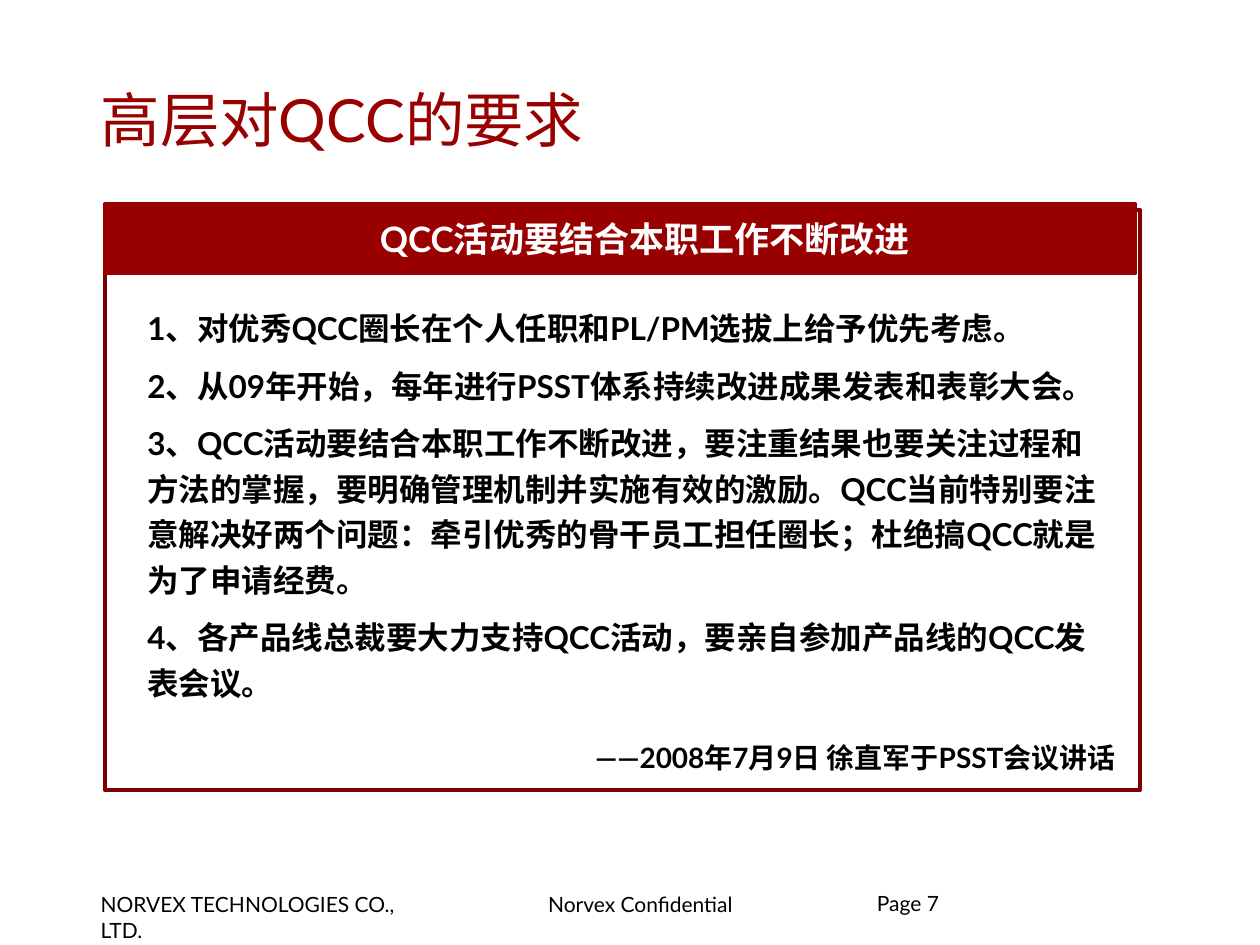
import lxml.etree
import pptx
import pptx.util
import pptx.dml.color
import pptx.enum.shapes
import pptx.enum.text
import pptx.oxml.ns

Cm = pptx.util.Cm
Pt = pptx.util.Pt
RGBColor = pptx.dml.color.RGBColor
SHAPE = pptx.enum.shapes.MSO_SHAPE
ALIGN = pptx.enum.text.PP_ALIGN
ANCHOR = pptx.enum.text.MSO_ANCHOR
qn = pptx.oxml.ns.qn

RED = RGBColor(0x99, 0x00, 0x00)
DARK_RED = RGBColor(0x80, 0x00, 0x00)
BLACK = RGBColor(0x00, 0x00, 0x00)
WHITE = RGBColor(0xFF, 0xFF, 0xFF)


def add_text(s, box, lines, size, color=BLACK, bold=False, align=ALIGN.LEFT,
             anchor=ANCHOR.TOP, insets=(0.23, 0.1), spacing=None, gap=0):
    tf = s.shapes.add_textbox(*[Cm(v) for v in box]).text_frame
    tf.word_wrap = True
    tf.vertical_anchor = anchor
    tf.margin_left = tf.margin_right = Cm(insets[0])
    tf.margin_top = tf.margin_bottom = Cm(insets[1])
    for i, line in enumerate(lines):
        p = tf.add_paragraph() if i else tf.paragraphs[0]
        p.alignment = align
        if spacing:
            p.line_spacing = spacing
        if gap:
            p.space_after = Pt(gap)
            if i:
                p.space_before = Pt(gap)
        r = p.add_run()
        r.text = line
        r.font.name = "Lato"
        r.font.size = Pt(size)
        r.font.bold = bold
        r.font.color.rgb = color


def add_panel(s, kind, box, line, fill=None):
    sp = s.shapes.add_shape(kind, *[Cm(v) for v in box])
    guides = next(sp._element.iter(qn("a:avLst")))
    for guide in list(guides):
        guides.remove(guide)
    lxml.etree.SubElement(guides, qn("a:gd"), name="adj", fmla="val 0")
    sp.shadow.inherit = False
    sp.line.color.rgb = line
    sp.line.width = Pt(2.25)
    if fill is None:
        sp.fill.background()
    else:
        sp.fill.solid()
        sp.fill.fore_color.rgb = fill


prs = pptx.Presentation()
prs.slide_width = Cm(25.4)
prs.slide_height = Cm(19.05)
s = prs.slides.add_slide(prs.slide_layouts[6])

add_text(s, (1.8, 17.88, 7.26, 0.74), ["NORVEX TECHNOLOGIES CO., LTD."], 12)
add_text(s, (10.82, 17.88, 4.52, 0.74), ["Norvex Confidential"], 12)
add_text(s, (17.68, 18.03, 5.82, 1.27), ["Page 7"], 12, insets=(0, 0), spacing=0.85)

add_text(s, (1.8, 1.19, 21.51, 2.41), ["高层对QCC的要求"], 34, RED, anchor=ANCHOR.MIDDLE)

requirements = [
    "1、对优秀QCC圈长在个人任职和PL/PM选拔上给予优先考虑。",
    "2、从09年开始，每年进行PSST体系持续改进成果发表和表彰大会。",
    "3、QCC活动要结合本职工作不断改进，要注重结果也要关注过程和方法的掌握，"
    "要明确管理机制并实施有效的激励。QCC当前特别要注意解决好两个问题："
    "牵引优秀的骨干员工担任圈长；杜绝搞QCC就是为了申请经费。",
    "4、各产品线总裁要大力支持QCC活动，要亲自参加产品线的QCC发表会议。",
]
add_text(s, (2.74, 5.97, 19.61, 9.35), requirements, 18, bold=True, spacing=1.2, gap=3.6)

add_panel(s, SHAPE.FOLDED_CORNER, (2.11, 4.24, 20.88, 11.68), DARK_RED)
add_panel(s, SHAPE.ROUNDED_RECTANGLE, (2.11, 4.11, 20.78, 1.4), RED, RED)
add_text(s, (3.02, 4.11, 19.96, 1.4), ["QCC活动要结合本职工作不断改进"], 20, WHITE,
         bold=True, align=ALIGN.CENTER, anchor=ANCHOR.MIDDLE)
add_text(s, (6.91, 14.83, 15.8, 0.89), ["——2008年7月9日 徐直军于PSST会议讲话"], 16,
         bold=True, align=ALIGN.RIGHT)

prs.save("out.pptx")
